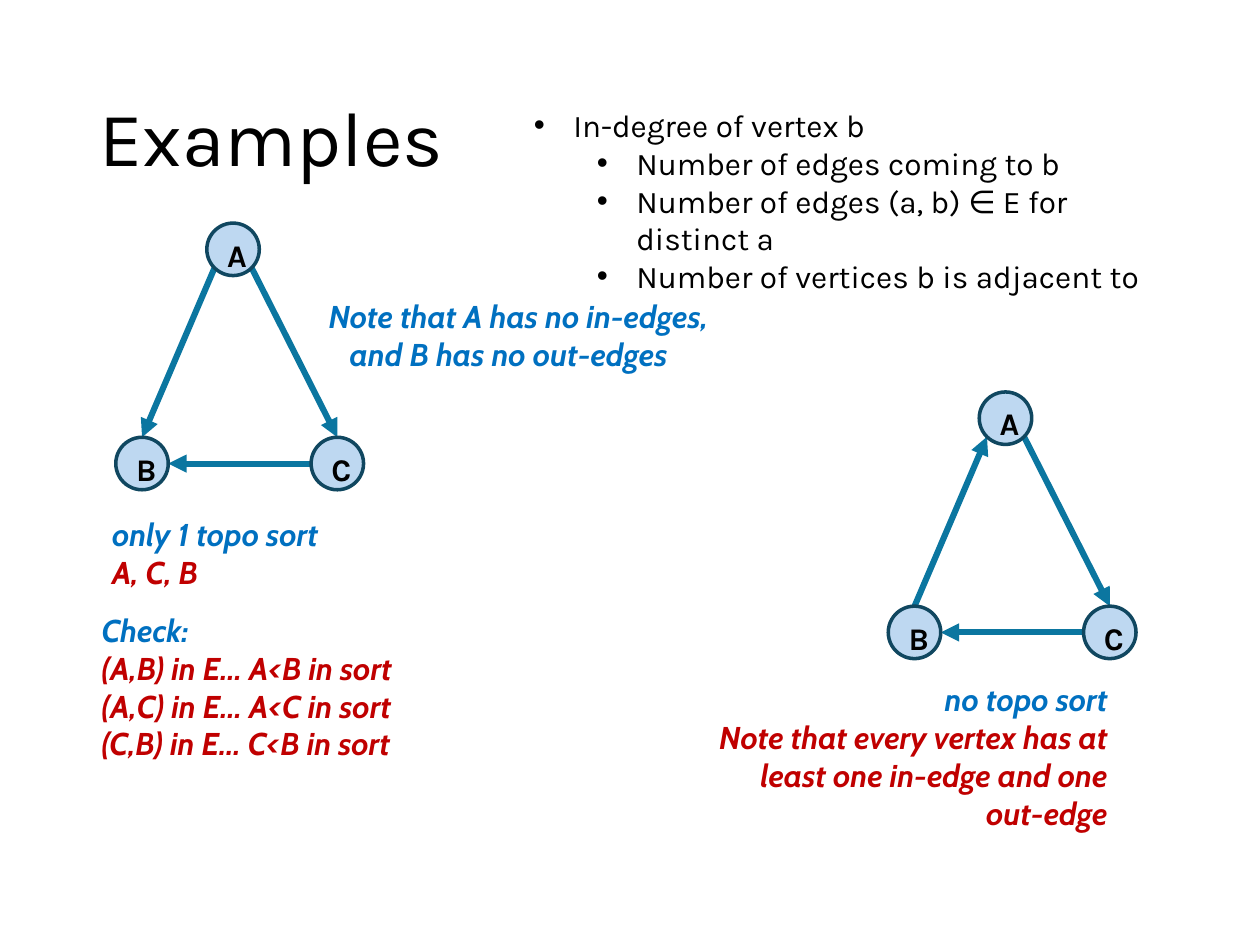
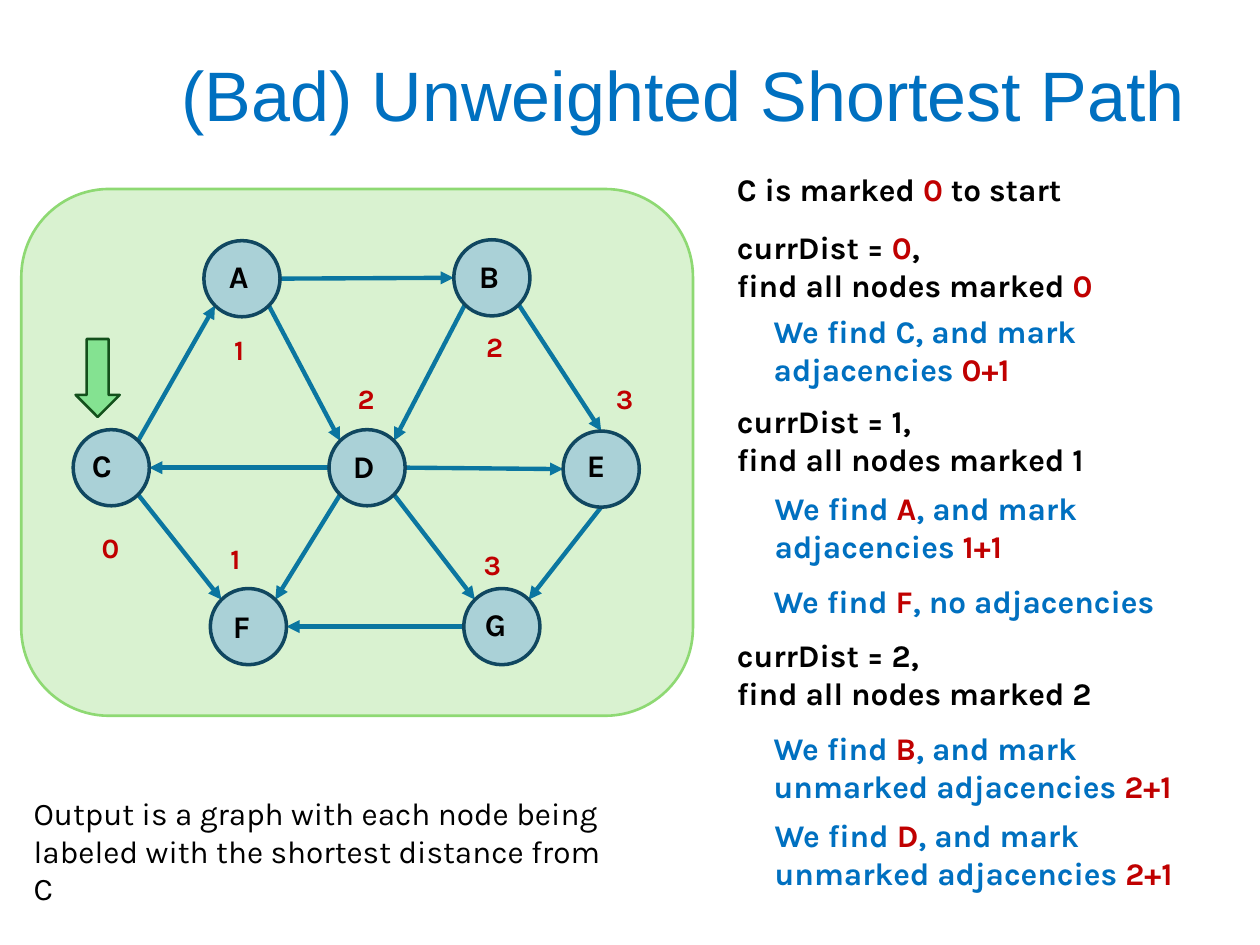
from dataclasses import dataclass
from math import cos, radians, sin
from typing import Iterable, NamedTuple

from lxml.etree import SubElement
from pptx import Presentation
from pptx.dml.color import RGBColor
from pptx.enum.shapes import MSO_CONNECTOR, MSO_SHAPE
from pptx.enum.text import MSO_ANCHOR, MSO_AUTO_SIZE, PP_ALIGN
from pptx.oxml.ns import qn
from pptx.shapes.autoshape import Shape
from pptx.slide import Slide
from pptx.text.text import _Paragraph as Para
from pptx.util import Pt


class Face(NamedTuple):
    font: str
    size: float
    bold: bool = False
    slant: bool = False


@dataclass(frozen=True)
class Theme:
    black: str = "000000"
    blue: str = "0070C0"
    red: str = "C00000"
    edge: str = "0B76A0"
    disc: str = "71AAE0"
    ring: str = "104760"
    panel: str = "D9F2D0"
    border: str = "8ED973"
    arrow: str = "84E291"
    trim: str = "13501B"
    plain: Face = Face("Karla", 18)
    strong: Face = Face("Karla", 18, True)
    mark: Face = Face("Karla", 16, True)
    note: Face = Face("Cabin", 18, True, True)
    head: Face = Face("Karla", 44)
    lead: Face = Face("Arial", 40)


THEME = Theme()


class Run(NamedTuple):
    words: str
    tint: str = THEME.black


class Line(NamedTuple):
    runs: tuple[Run, ...]
    inset: float = 0
    level: int = 0
    bullet: bool = False
    after: float = 0


class Area(NamedTuple):
    left: float
    top: float
    width: float
    height: float


class Box(NamedTuple):
    area: Area
    lines: tuple[Line, ...]
    face: Face
    align: PP_ALIGN = PP_ALIGN.LEFT


class Node(NamedTuple):
    name: str
    left: float
    top: float
    size: float
    shift: tuple[float, float]
    room: tuple[float, float]


class Edge(NamedTuple):
    start: str
    leave: str
    end: str
    enter: str


SITES = {site: 45 * step for step, site in
         enumerate(("e", "se", "s", "sw", "w", "nw", "n", "ne"))}


def black(words: str) -> Run:
    return Run(words)


def blue(words: str) -> Run:
    return Run(words, THEME.blue)


def red(words: str) -> Run:
    return Run(words, THEME.red)


def line(*runs: Run, inset: float = 0) -> Line:
    return Line(runs, inset)


def point(words: str, level: int = 0) -> Line:
    return Line((black(words),), 22.5 + 36 * level, level, True)


def write(para: Para, item: Line, face: Face) -> None:
    props = para._p.get_or_add_pPr()
    if item.inset:
        props.set("marL", str(Pt(item.inset)))
    if item.bullet:
        props.set("indent", str(-Pt(22.5)))
        SubElement(props, qn("a:buFont")).set("typeface", "Arial")
        SubElement(props, qn("a:buChar")).set("char", "•")
    para.level = item.level
    if item.after:
        para.space_after = Pt(item.after)
    for part in item.runs:
        run = para.add_run()
        run.text = part.words
        font = run.font
        font.name, font.size = face.font, Pt(face.size)
        font.bold, font.italic = face.bold, face.slant
        font.color.rgb = RGBColor.from_string(part.tint)


def place(area: Area) -> tuple[Pt, ...]:
    return tuple(Pt(value) for value in area)


def draw_box(slide: Slide, box: Box) -> None:
    frame = slide.shapes.add_textbox(*place(box.area)).text_frame
    frame.word_wrap = True
    frame.auto_size = MSO_AUTO_SIZE.SHAPE_TO_FIT_TEXT
    for index, item in enumerate(box.lines):
        para = frame.add_paragraph() if index else frame.paragraphs[0]
        para.alignment = box.align
        write(para, item, box.face)


def draw_title(slide: Slide, box: Box) -> None:
    title = slide.shapes.title
    title.left, title.top, title.width, title.height = place(box.area)
    frame = title.text_frame
    frame.auto_size = MSO_AUTO_SIZE.NONE
    frame.vertical_anchor = MSO_ANCHOR.MIDDLE
    para = frame.paragraphs[0]
    para.alignment, para.line_spacing = box.align, 0.9
    write(para, box.lines[0], box.face)


def draw_shape(slide: Slide, kind: MSO_SHAPE, area: Area, fill: str,
               rim: str, weight: float) -> Shape:
    shape = slide.shapes.add_shape(kind, *place(area))
    shape.shadow.inherit = False
    shape.fill.solid()
    shape.fill.fore_color.rgb = RGBColor.from_string(fill)
    shape.line.color.rgb = RGBColor.from_string(rim)
    shape.line.width = Pt(weight)
    return shape


def draw_node(slide: Slide, node: Node) -> None:
    disc = draw_shape(slide, MSO_SHAPE.OVAL, Area(node.left, node.top, node.size, node.size),
                      THEME.disc, THEME.ring, 2)
    paint = disc.element.spPr.find(qn("a:solidFill"))[0]
    SubElement(paint, qn("a:alpha")).set("val", "45000")
    area = Area(node.left + node.shift[0], node.top + node.shift[1], *node.room)
    draw_box(slide, Box(area, (Line((black(node.name),), after=6),), THEME.strong))


def find_site(node: Node, site: str) -> tuple[Pt, Pt]:
    turn, half = radians(SITES[site]), node.size / 2
    return (Pt(node.left + half * (1 + cos(turn))),
            Pt(node.top + half * (1 + sin(turn))))


def draw_graph(slide: Slide, nodes: Iterable[Node], edges: Iterable[Edge],
               weight: float) -> None:
    lookup = {node.name: node for node in nodes}
    for edge in edges:
        link = slide.shapes.add_connector(
            MSO_CONNECTOR.STRAIGHT, *find_site(lookup[edge.start], edge.leave),
            *find_site(lookup[edge.end], edge.enter))
        link.line.color.rgb = RGBColor.from_string(THEME.edge)
        link.line.width = Pt(weight)
        props = link.element.spPr
        SubElement(props.find(qn("a:ln")), qn("a:tailEnd")).set("type", "triangle")
        SubElement(props, qn("a:effectLst"))
    for node in lookup.values():
        draw_node(slide, node)


def draw_trio(slide: Slide, left: float, top: float, side: Edge) -> None:
    spots = (("A", 52, 0), ("B", 0, 122.4), ("C", 111.6, 122.4))
    nodes = [Node(name, left + x, top + y, 30, (4.5, 3.6), (26.6, 23))
             for name, x, y in spots]
    draw_graph(slide, nodes,
               (Edge("C", "w", "B", "e"), side, Edge("A", "se", "C", "n")), 3.5)


def build_topo(slide: Slide) -> None:
    draw_title(slide, Box(Area(49.7, 28.8, 620.6, 104.4),
                          (line(black("Examples")),), THEME.head))
    draw_trio(slide, 66.2, 127.5, Edge("A", "sw", "B", "n"))
    draw_trio(slide, 507.6, 224, Edge("B", "n", "A", "sw"))
    pairs = ("AB", "AC", "CB")
    checks = (line(red(f"({a},{b}) in E… {a}<{b} in sort")) for a, b in pairs)
    boxes = (
        Box(Area(57, 291, 197, 51),
            (line(blue("only 1 topo sort")), line(red("A, C, B"))), THEME.note),
        Box(Area(51, 345.6, 235, 94), (line(blue("Check:")), *checks), THEME.note),
        Box(Area(399, 385.2, 241, 94),
            (line(blue("no topo sort")),
             line(red("Note that every vertex has at least one in-edge and one out-edge"))),
            THEME.note, PP_ALIGN.RIGHT),
        Box(Area(180.7, 166.3, 302, 51),
            (line(blue("Note that A has no in-edges,")),
             line(blue("and B has no out-edges"), inset=12)), THEME.note),
        Box(Area(298, 57, 380, 94),
            (point("In-degree of vertex b"),
             point("Number of edges coming to b", 1),
             point("Number of edges (a, b) ∈ E for distinct a", 1),
             point("Number of vertices b is adjacent to", 1)), THEME.plain),
    )
    for box in boxes:
        draw_box(slide, box)


def build_short(slide: Slide) -> None:
    draw_title(slide, Box(Area(36, 21.6, 648, 69.8),
                          (line(blue("(Bad) Unweighted Shortest Path")),),
                          THEME.lead, PP_ALIGN.RIGHT))
    draw_shape(slide, MSO_SHAPE.ROUNDED_RECTANGLE, Area(12.2, 108, 383.8, 301),
               THEME.panel, THEME.border, 1.5)
    spots = (("A", 116.5, 137.5, 7.2, 5.8), ("B", 259.3, 137, 7.2, 6.5),
             ("C", 41.8, 245.5, 3.6, 5.8), ("D", 188, 245.5, 6.5, 6.5),
             ("E", 321.8, 246.3, 6.5, 5), ("F", 120.2, 336.3, 5.8, 7.2),
             ("G", 265, 336.3, 5, 5.8))
    nodes = [Node(name, x, y, 43.5, (dx, dy), (27, 36)) for name, x, y, dx, dy in spots]
    paths = ("D sw F ne", "D w C e", "C ne A sw", "B sw D ne", "A se D nw", "A e B w",
             "B se E n", "D e E w", "C se F nw", "D se G nw", "E s G ne", "G w F e")
    draw_graph(slide, nodes, [Edge(*route.split()) for route in paths], 2.5)
    draw_shape(slide, MSO_SHAPE.DOWN_ARROW, Area(43.2, 193.7, 25.2, 44.6),
               THEME.arrow, THEME.trim, 1.5)
    marks = (("0", 51, 299.5), ("1", 126.7, 186.5), ("1", 124.6, 306),
             ("2", 197.3, 214.6), ("2", 270.7, 185), ("3", 344.9, 214.6),
             ("3", 269.3, 309.6))
    for words, left, top in marks:
        draw_box(slide, Box(Area(left, top, 23.8, 26.6), (line(red(words)),), THEME.mark))

    def find(name: str, middle: str, sum: str) -> tuple[Line]:
        return (line(blue("We find "), red(name), blue(middle), red(sum)),)

    def round_of(count: int) -> tuple[Line, Line]:
        return (line(black(f"currDist = {count},")),
                line(black(f"find all nodes marked {count}")))

    fresh = ", and mark unmarked adjacencies "
    steps = (
        (414, 93.6, 216, (line(black("C is marked "), red("0"), black(" to start")),)),
        (414, 126.7, 258, (line(black("currDist = "), red("0"), black(",")),
                           line(black("find all nodes marked "), red("0")))),
        (435, 175, 216, (line(blue("We find C, and mark adjacencies "), red("0+1")),)),
        (414, 226, 258, round_of(1)),
        (435.6, 275.8, 216, find("A", ", and mark adjacencies ", "1+1")),
        (435, 329, 246.2, (line(blue("We find "), red("F"), blue(", no adjacencies")),)),
        (414, 360, 258, round_of(2)),
        (435, 413.3, 273, find("B", fresh, "2+1")),
        (435.6, 463, 273, find("D", fresh, "2+1")),
    )
    for left, top, width, lines in steps:
        draw_box(slide, Box(Area(left, top, width, 51), lines, THEME.strong))
    result = "Output is a graph with each node being labeled with the shortest distance from C"
    draw_box(slide, Box(Area(12.2, 450, 347.8, 51), (line(black(result)),), THEME.plain))


def main() -> None:
    deck = Presentation()
    deck.slide_width, deck.slide_height = Pt(720), Pt(540)
    for build in (build_topo, build_short):
        build(deck.slides.add_slide(deck.slide_layouts[5]))
    deck.save("out.pptx")


if __name__ == "__main__":
    main()
